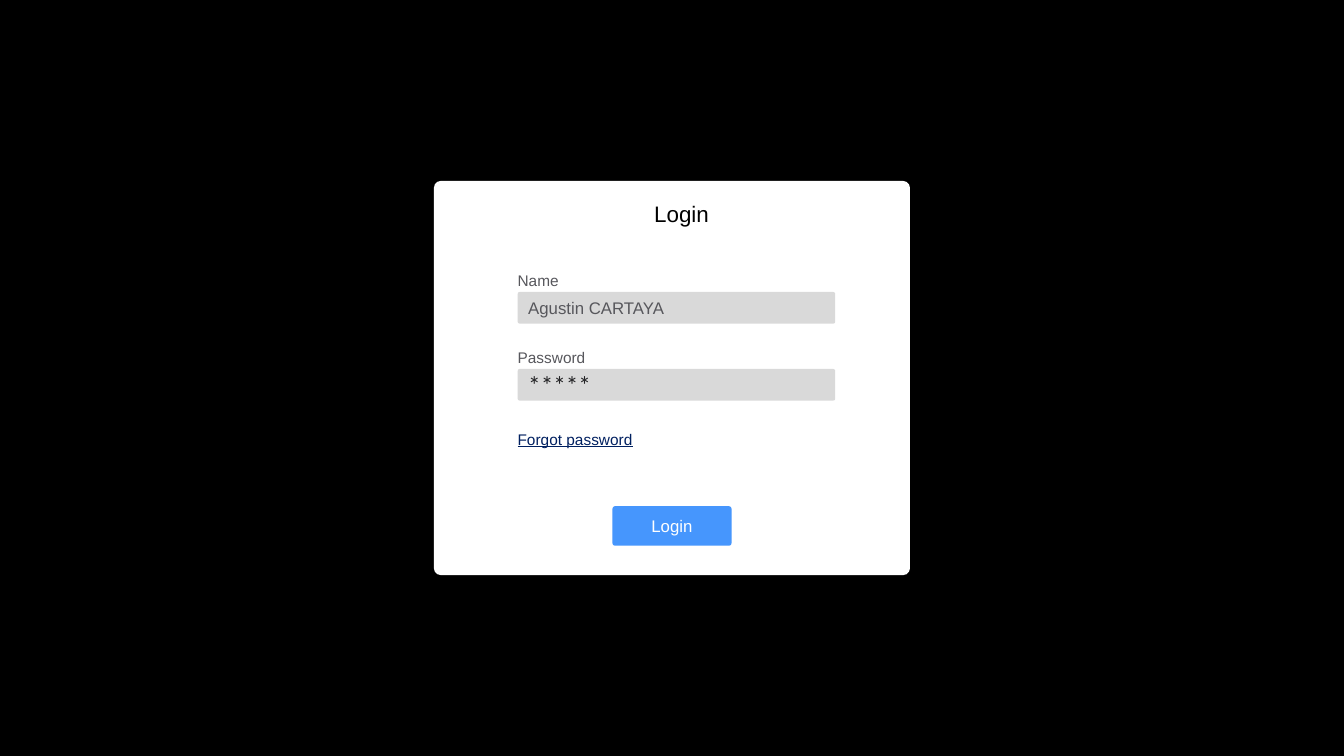
from pptx import Presentation
from pptx.dml.color import RGBColor
from pptx.enum.shapes import MSO_SHAPE as Kind
from pptx.enum.text import MSO_ANCHOR as Anchor, PP_ALIGN as Align
from pptx.util import Pt


def paint(fill, color):
    """Make a fill solid in a hex colour."""
    fill.solid()
    fill.fore_color.rgb = RGBColor.from_string(color)


def write(shape, text, size, color, font="Arial", align=Align.LEFT, under=None):
    """Add one styled run to a shape and return its text frame."""
    frame = shape.text_frame
    para = frame.paragraphs[0]
    para.alignment = align
    run = para.add_run()
    run.text = text
    run.font.size = Pt(size)
    run.font.name = font
    run.font.underline = under
    paint(run.font.fill, color)
    return frame


def panel(slide, left, top, width, height, color, round=0.065):
    """Draw a plain rounded box."""
    box = slide.shapes.add_shape(
        Kind.ROUNDED_RECTANGLE, Pt(left), Pt(top), Pt(width), Pt(height))
    box.adjustments[0] = round
    box.shadow.inherit = False
    box.line.fill.background()
    paint(box.fill, color)
    box.text_frame.word_wrap = True
    box.text_frame.vertical_anchor = Anchor.MIDDLE
    return box


def label(slide, left, top, text, color, under=None):
    """Place a small line of text."""
    box = slide.shapes.add_textbox(Pt(left), Pt(top), Pt(171.4), Pt(20.6))
    write(box, text, 11, color, under=under).word_wrap = True


def field(slide, left, top, name, value, size, color, font):
    """Draw an input bar with its name above."""
    bar = panel(slide, left + 7.2, top + 18.3, 226.8, 22.6, "D9D9D9")
    write(bar, value, size, color, font)
    label(slide, left, top, name, "57575C")


def card(slide, left, top, width, height):
    """Draw the login card with its title, fields, link and button."""
    panel(slide, left, top, width, height, "FFFFFF", 0.017)

    title = slide.shapes.add_textbox(
        Pt(left + 149.8), Pt(top + 10.1), Pt(54), Pt(26.6))
    write(title, "Login", 16, "000000", align=Align.CENTER).word_wrap = False

    inset = left + 52.6
    fields = [("Name", "Agustin CARTAYA", 12, "57575C", "Arial"),
              ("Password", "*****", 18, "212123", "Calibri")]
    for row, parts in enumerate(fields):
        field(slide, inset, top + 61 + row * 55, *parts)
    label(slide, inset, top + 174.2, "Forgot password", "002060", True)

    wide, high = 85, 28.2
    button = panel(slide, left + (width - wide) / 2, top + height - high - 21,
                   wide, high, "4696FD")
    write(button, "Login", 12, "FFFFFF", align=Align.CENTER)


def main():
    """Build and save the login slide."""
    deck = Presentation()
    deck.slide_width, deck.slide_height = Pt(960), Pt(540)
    slide = deck.slides.add_slide(deck.slide_layouts[6])
    paint(slide.background.fill, "000000")
    wide, high = 340, 281.5
    card(slide, (960 - wide) / 2, (540 - high) / 2, wide, high)
    deck.save("out.pptx")


if __name__ == "__main__":
    main()
